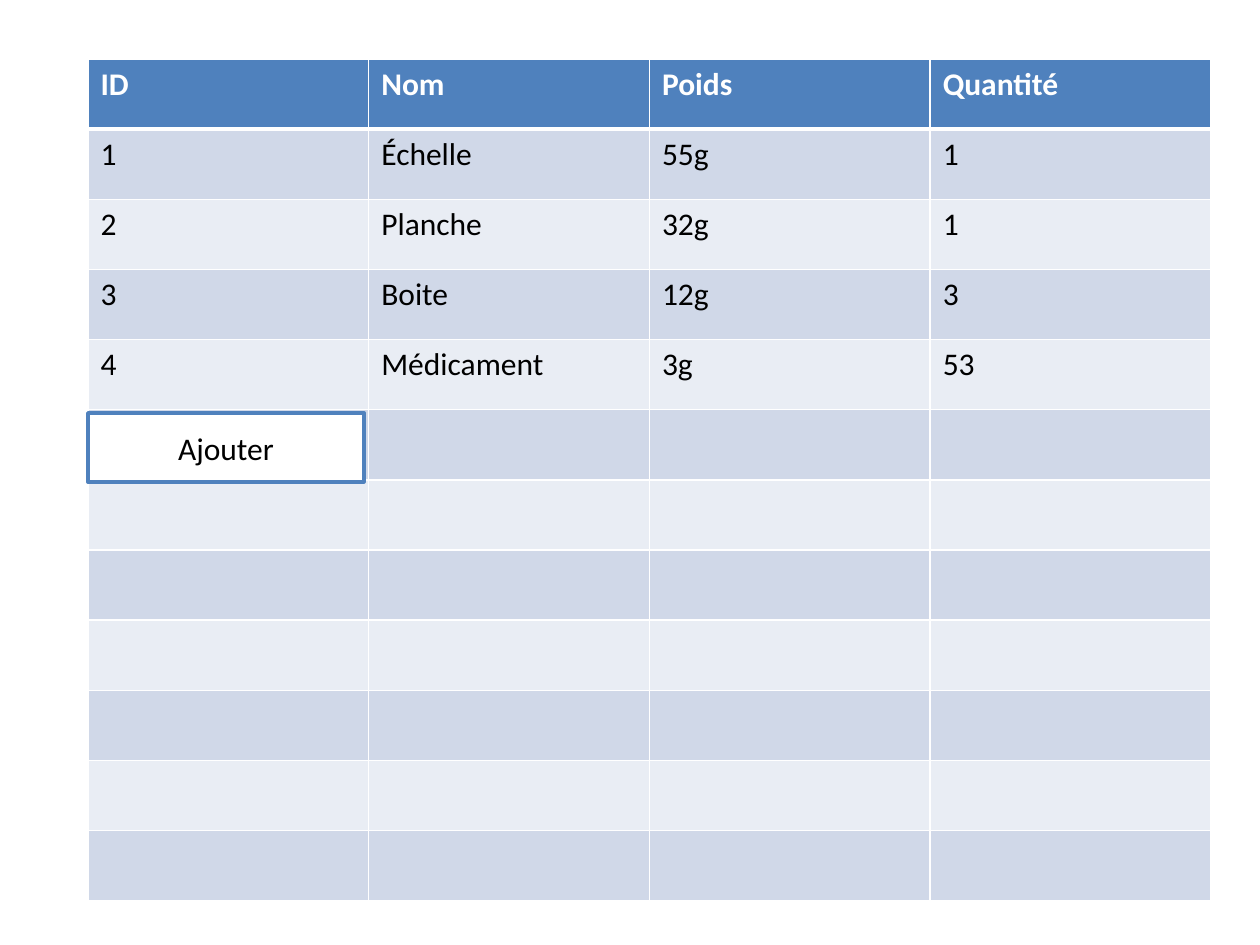
from lxml.etree import SubElement
from pptx import Presentation
from pptx.dml.color import RGBColor
from pptx.enum.shapes import MSO_SHAPE
from pptx.enum.text import MSO_ANCHOR, PP_ALIGN
from pptx.oxml.ns import qn
from pptx.util import Emu, Pt

PX = 914400 // 126
COLORS = {"header": "4F81BD", "odd": "D0D8E8", "even": "E9EDF4",
          "white": "FFFFFF", "black": "000000"}
HEADINGS = ["ID", "Nom", "Poids", "Quantité"]
ITEMS = [
    ["1", "Échelle", "55g", "1"],
    ["2", "Planche", "32g", "1"],
    ["3", "Boite", "12g", "3"],
    ["4", "Médicament", "3g", "53"],
]
ROW_COUNT = 12


def rgb(name):
    return RGBColor.from_string(COLORS[name])


class InventorySlide:
    font, size = "Calibri", 18

    def __init__(self, slide):
        self.slide = slide

    def label(self, frame, text, color, bold=False):
        frame.text = text
        for paragraph in frame.paragraphs:
            paragraph.font.size = Pt(self.size)
            for run in paragraph.runs:
                run.font.name, run.font.size = self.font, Pt(self.size)
                run.font.bold, run.font.color.rgb = bold, rgb(color)

    def border(self, cell, bottom):
        properties = cell._tc.get_or_add_tcPr()
        widths = {"a:lnL": 1, "a:lnR": 1, "a:lnT": 1, "a:lnB": bottom}
        for tag, width in widths.items():
            line = SubElement(properties, qn(tag), w=str(int(Pt(width))))
            fill = SubElement(line, qn("a:solidFill"))
            SubElement(fill, qn("a:srgbClr"), val=COLORS["white"])

    def table(self, left, top, width, height, rows):
        box = [Emu(v * PX) for v in (left, top, width, height)]
        grid = self.slide.shapes.add_table(len(rows), len(rows[0]), *box).table
        for r, values in enumerate(rows):
            header = r == 0
            band = "header" if header else "odd" if r % 2 else "even"
            for c, value in enumerate(values):
                cell = grid.cell(r, c)
                self.border(cell, 3 if header else 1)
                cell.fill.solid()
                cell.fill.fore_color.rgb = rgb(band)
                self.label(cell.text_frame, value,
                           "white" if header else "black", header)

    def button(self, left, top, width, height, text):
        box = [Emu(v * PX) for v in (left, top, width, height)]
        button = self.slide.shapes.add_shape(MSO_SHAPE.RECTANGLE, *box)
        button.shadow.inherit = False
        button.fill.solid()
        button.fill.fore_color.rgb = rgb("white")
        button.line.color.rgb = rgb("header")
        button.line.width = Pt(2)
        self.label(button.text_frame, text, "black")
        button.text_frame.vertical_anchor = MSO_ANCHOR.MIDDLE
        button.text_frame.paragraphs[0].alignment = PP_ALIGN.CENTER


presentation = Presentation()
presentation.slide_width = Emu(1260 * PX)
presentation.slide_height = Emu(945 * PX)
inventory = InventorySlide(
    presentation.slides.add_slide(presentation.slide_layouts[6]))

# Inventory table, filled up with empty rows
filled_rows = [HEADINGS] + ITEMS
empty_rows = [[""] * len(HEADINGS)] * (ROW_COUNT - len(filled_rows))
inventory.table(88, 59, 1123, 842, filled_rows + empty_rows)

# Add button over the first empty row
inventory.button(88, 413, 276, 69, "Ajouter")

presentation.save("out.pptx")
